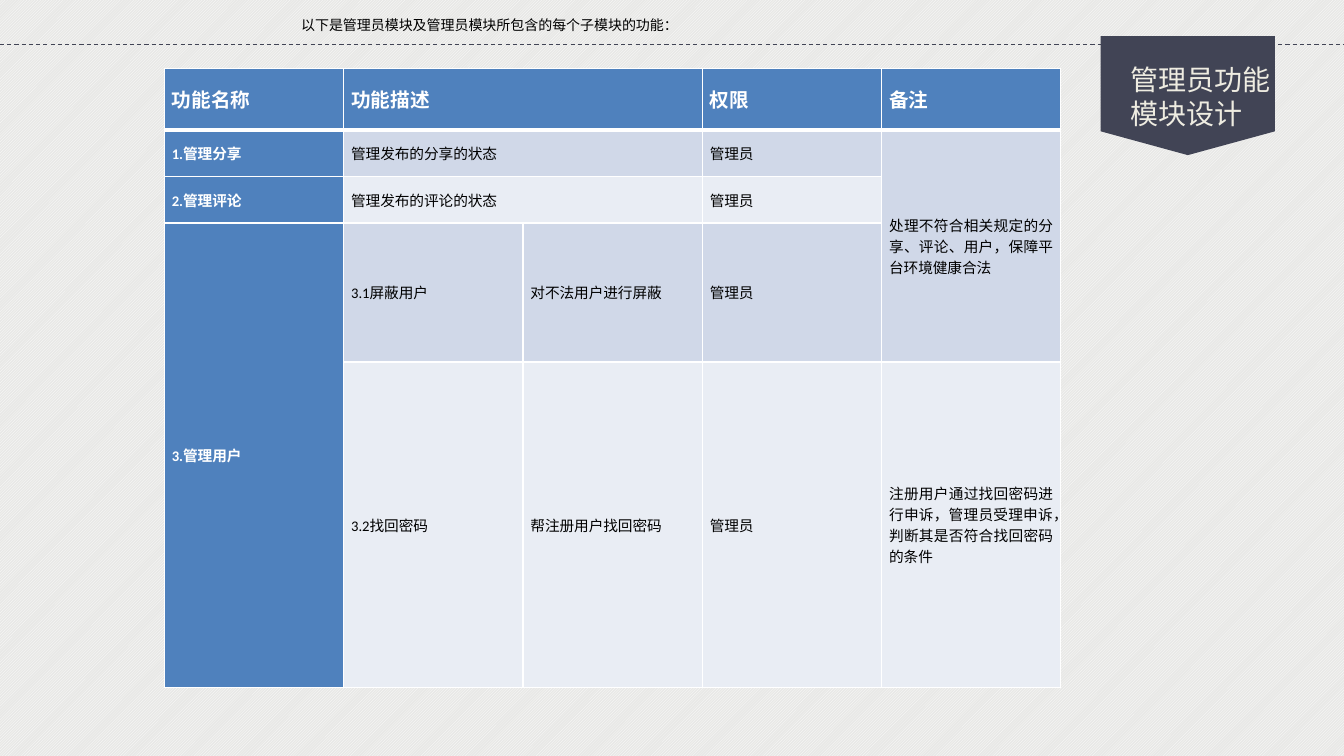
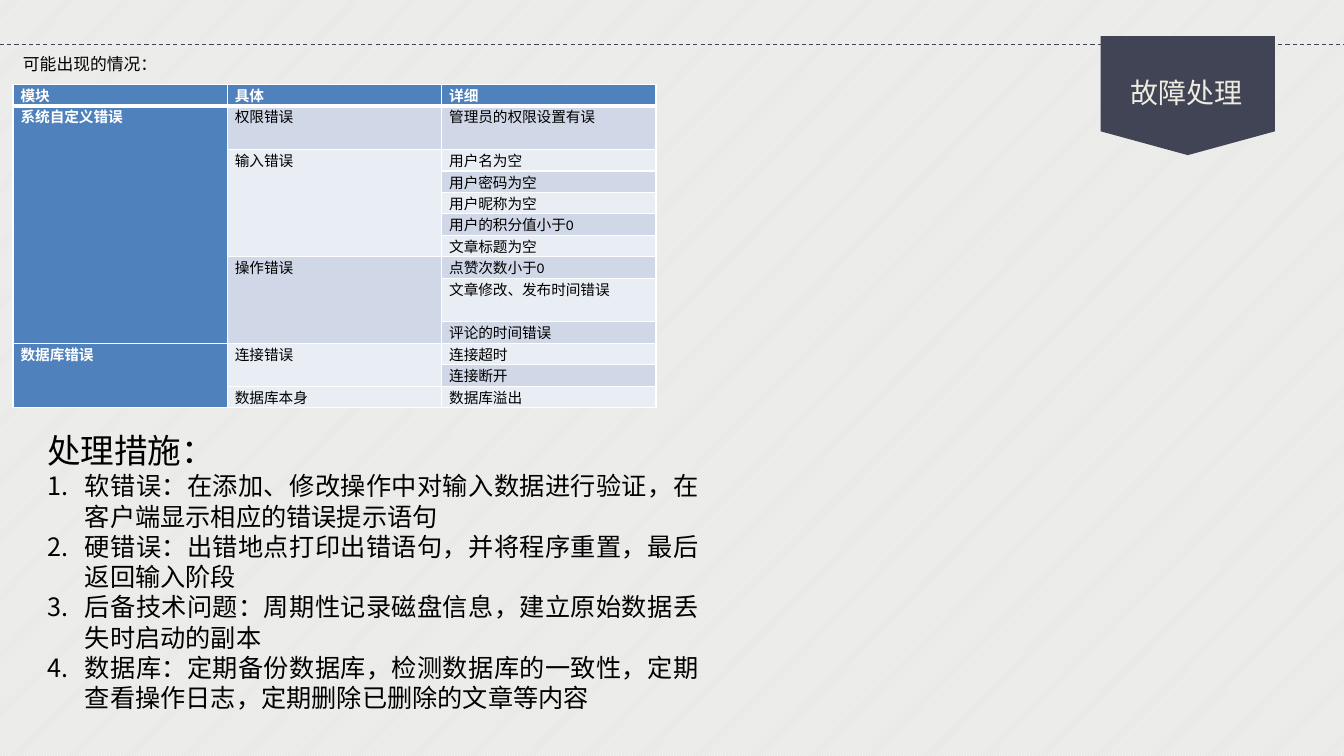
import pptx
import pptx.dml.color
import pptx.enum.dml
import pptx.enum.shapes
import pptx.enum.text
import pptx.oxml.ns
import pptx.util
from lxml import etree

Cm = pptx.util.Cm
Pt = pptx.util.Pt
qn = pptx.oxml.ns.qn
Anchor = pptx.enum.text.MSO_ANCHOR
JUSTIFY = pptx.enum.text.PP_ALIGN.JUSTIFY

SLIDE_W, SLIDE_H = 33.87, 19.05
CJK_FONT, TABLE_FONT = "Noto Sans CJK SC", "Calibri"
INK, CREAM, WHITE, BLACK = "414455", "EEECE1", "FFFFFF", "000000"
PAPER, BLUE = "E8E8E6", "4F81BD"
BANDS = ("E9EDF4", "D0D8E8")


def rgb(value):
    return pptx.dml.color.RGBColor.from_string(value)


def set_font(paragraph, size, color, name=CJK_FONT, bold=False):
    font = paragraph.font
    font.size, font.bold, font.name = Pt(size), bold, name
    font.color.rgb = rgb(color)
    defaults = paragraph._p.pPr.find(qn("a:defRPr"))
    etree.SubElement(defaults, qn("a:ea"), typeface=CJK_FONT)


def add_text(slide, box, lines, size, color, wrap=False, anchor=Anchor.TOP):
    frame = slide.shapes.add_textbox(*map(Cm, box)).text_frame
    frame.word_wrap = wrap
    frame.auto_size = pptx.enum.text.MSO_AUTO_SIZE.SHAPE_TO_FIT_TEXT
    frame.vertical_anchor = anchor
    frame.text = "\n".join(lines)
    for paragraph in frame.paragraphs:
        set_font(paragraph, size, color)
    return frame


def add_base(deck):
    slide = deck.slides.add_slide(deck.slide_layouts[6])
    fill = slide.background.fill
    fill.patterned()
    fill.pattern = pptx.enum.dml.MSO_PATTERN.LIGHT_UPWARD_DIAGONAL
    fill.fore_color.rgb = rgb(WHITE)
    fill.back_color.rgb = rgb(PAPER)
    rule = slide.shapes.add_connector(
        pptx.enum.shapes.MSO_CONNECTOR.STRAIGHT, Cm(0), Cm(1.12), Cm(SLIDE_W), Cm(1.12))
    rule.line.color.rgb = rgb(INK)
    rule.line.width = Pt(0.75)
    rule.line.dash_style = pptx.enum.dml.MSO_LINE.DASH
    etree.SubElement(rule._element.spPr, qn("a:effectLst"))
    return slide


def add_pennant(slide, box, lines, title_drop, title_width):
    left, top, width, height = box
    pennant = slide.shapes.add_shape(
        pptx.enum.shapes.MSO_SHAPE.FLOWCHART_OFFPAGE_CONNECTOR, *map(Cm, box))
    pennant.shadow.inherit = False
    pennant.fill.solid()
    pennant.fill.fore_color.rgb = rgb(INK)
    pennant.line.fill.background()
    add_text(slide, (left + 0.5, top + title_drop, title_width, 1.96), lines, 20, CREAM)


def add_caption(slide, left, top, text, size):
    add_text(slide, (left, top, SLIDE_W - left, 1.27), [text], size, BLACK,
             anchor=Anchor.MIDDLE)


def add_border(cell, side, points):
    line = etree.SubElement(cell._tc.get_or_add_tcPr(), qn(f"a:ln{side}"), w=str(Pt(points)))
    fill = etree.SubElement(line, qn("a:solidFill"))
    etree.SubElement(fill, qn("a:srgbClr"), val=WHITE)


def style_cell(cell, row, col, header_size, anchor):
    heading = row == 0 or col == 0
    for side in "LRTB":
        thick = (row, side) in ((0, "B"), (1, "T"))
        add_border(cell, side, 3 if thick else 1)
    cell.fill.solid()
    cell.fill.fore_color.rgb = rgb(BLUE if heading else BANDS[row % 2])
    cell.margin_left = cell.margin_right = Cm(0.19)
    cell.margin_top = cell.margin_bottom = Cm(0)
    cell.vertical_anchor = anchor
    paragraph = cell.text_frame.paragraphs[0]
    paragraph.alignment = JUSTIFY
    set_font(paragraph, header_size if row == 0 else 10.5,
             WHITE if heading else BLACK, TABLE_FONT, heading)


def add_grid(slide, left, top, col_width, heights, rows, merges, header_size, anchor):
    cols = len(rows[0])
    table = slide.shapes.add_table(
        len(rows), cols, Cm(left), Cm(top), Cm(col_width * cols), Cm(sum(heights))).table
    table.horz_banding = False
    for column in table.columns:
        column.width = Cm(col_width)
    for table_row, height in zip(table.rows, heights):
        table_row.height = Cm(height)
    for first_row, first_col, last_row, last_col in merges:
        table.cell(first_row, first_col).merge(table.cell(last_row, last_col))
    for r, row in enumerate(rows):
        for c, text in enumerate(row):
            cell = table.cell(r, c)
            if text:
                cell.text = text
            style_cell(cell, r, c, header_size, anchor)


def add_measures(slide, box, heading, measures):
    frame = add_text(slide, box, [heading], 24, BLACK, wrap=True)
    frame.paragraphs[0].alignment = JUSTIFY
    for measure in measures:
        paragraph = frame.add_paragraph()
        paragraph.text = measure
        paragraph.alignment = JUSTIFY
        props = paragraph._p.get_or_add_pPr()
        props.set("marL", str(Cm(0.95)))
        props.set("indent", str(-Cm(0.95)))
        etree.SubElement(props, qn("a:buFont"), typeface="+mj-lt")
        etree.SubElement(props, qn("a:buAutoNum"), type="arabicPeriod")
        set_font(paragraph, 18, BLACK)


PENNANT = (27.74, 0.91, 4.39, 3)

ADMIN_ROWS = [
    ["功能名称", "功能描述", None, "权限", "备注"],
    ["1.管理分享", "管理发布的分享的状态", None, "管理员",
     "处理不符合相关规定的分享、评论、用户，保障平台环境健康合法"],
    ["2.管理评论", "管理发布的评论的状态", None, "管理员", None],
    ["3.管理用户", "3.1屏蔽用户", "对不法用户进行屏蔽", "管理员", None],
    [None, "3.2找回密码", "帮注册用户找回密码", "管理员",
     "注册用户通过找回密码进行申诉，管理员受理申诉，判断其是否符合找回密码的条件"],
]
ADMIN_MERGES = [(0, 1, 0, 2), (1, 1, 1, 2), (2, 1, 2, 2), (1, 4, 3, 4), (3, 0, 4, 0)]

FAULT_ROWS = [
    ["模块", "具体", "详细"],
    ["系统自定义错误", "权限错误", "管理员的权限设置有误"],
    [None, "输入错误", "用户名为空"],
    [None, None, "用户密码为空"],
    [None, None, "用户昵称为空"],
    [None, None, "用户的积分值小于0"],
    [None, None, "文章标题为空"],
    [None, "操作错误", "点赞次数小于0"],
    [None, None, "文章修改、发布时间错误"],
    [None, None, "评论的时间错误"],
    ["数据库错误", "连接错误", "连接超时"],
    [None, None, "连接断开"],
    [None, "数据库本身", "数据库溢出"],
]
FAULT_MERGES = [(1, 0, 9, 0), (2, 1, 6, 1), (7, 1, 9, 1), (10, 0, 12, 0), (10, 1, 11, 1)]
FAULT_HEIGHTS = [1.1 if row in (1, 8) else 0.54 for row in range(len(FAULT_ROWS))]

MEASURES = [
    "软错误：在添加、修改操作中对输入数据进行验证，在客户端显示相应的错误提示语句",
    "硬错误：出错地点打印出错语句，并将程序重置，最后返回输入阶段",
    "后备技术问题：周期性记录磁盘信息，建立原始数据丢失时启动的副本",
    "数据库：定期备份数据库，检测数据库的一致性，定期查看操作日志，定期删除已删除的文章等内容",
]


def build_admin_slide(deck):
    slide = add_base(deck)
    add_pennant(slide, PENNANT, ["管理员功能", "模块设计"], 0.54, 4.06)
    add_grid(slide, 4.14, 1.73, 4.52, [1.55, 1.17, 1.17, 3.5, 8.2],
             ADMIN_ROWS, ADMIN_MERGES, 14, Anchor.MIDDLE)
    add_caption(slide, 7.34, 0, "以下是管理员模块及管理员模块所包含的每个子模块的功能：", 10)


def build_fault_slide(deck):
    slide = add_base(deck)
    add_pennant(slide, PENNANT, ["故障处理"], 0.87, 3.35)
    add_grid(slide, 0.33, 2.13, 5.4, FAULT_HEIGHTS,
             FAULT_ROWS, FAULT_MERGES, 10.5, Anchor.TOP)
    add_caption(slide, 0.33, 0.97, "可能出现的情况：", 12)
    add_measures(slide, (0.94, 10.72, 16.92, 7.44), "处理措施：", MEASURES)


def main():
    deck = pptx.Presentation()
    deck.slide_width, deck.slide_height = Cm(SLIDE_W), Cm(SLIDE_H)
    build_admin_slide(deck)
    build_fault_slide(deck)
    deck.save("out.pptx")


if __name__ == "__main__":
    main()
